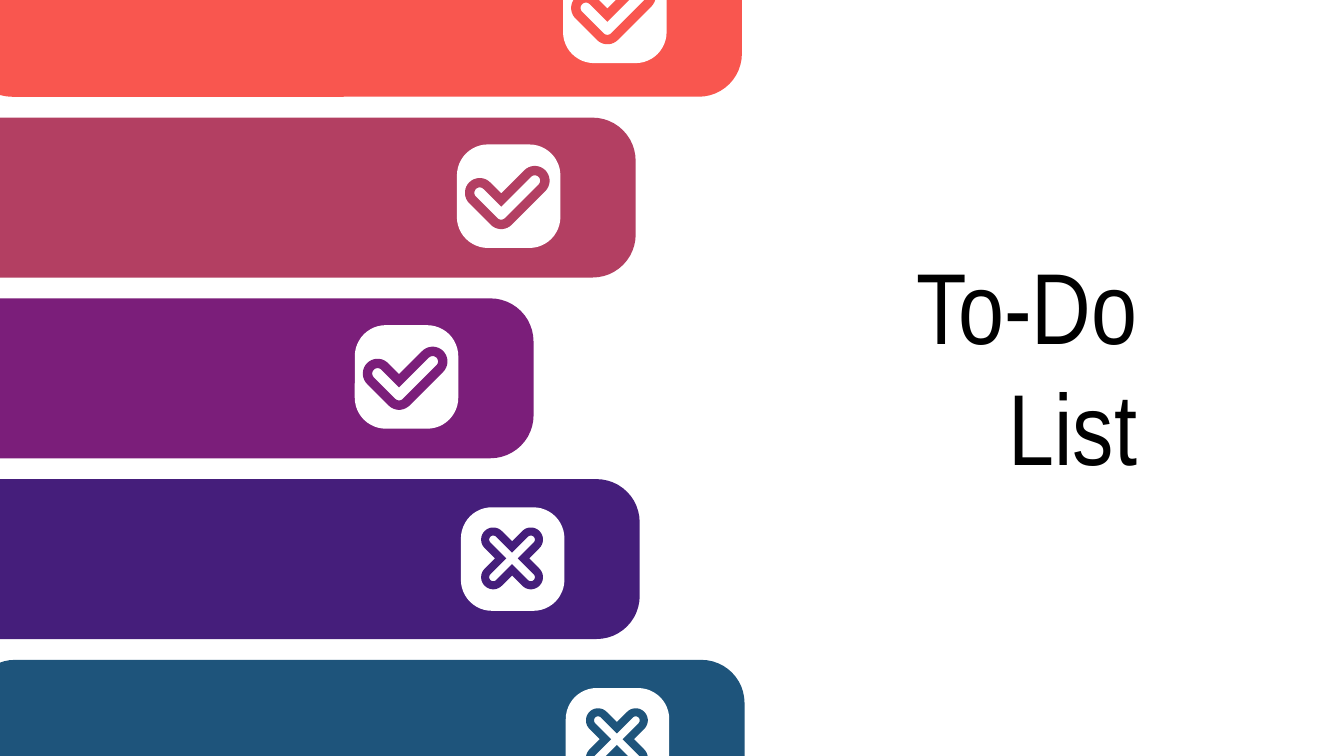
from math import cos, radians, sin, sqrt

from pptx import Presentation
from pptx.dml.color import RGBColor
from pptx.enum.shapes import MSO_SHAPE
from pptx.enum.text import MSO_ANCHOR, PP_ALIGN
from pptx.util import Inches, Pt


def paint(shape, color):
    shape.shadow.inherit = False
    shape.fill.solid()
    shape.fill.fore_color.rgb = RGBColor.from_string(color)
    shape.line.fill.background()


def contour(x, y, arms, radius):
    """Outline round-ended arms (angle, length) that meet at x, y."""
    points = []

    def add_point(center_x, center_y, angle, distance):
        turn = radians(angle)
        points.append((Inches(center_x + distance * cos(turn)),
                       Inches(center_y + distance * sin(turn))))

    following = arms[1:] + arms[:1]
    for (angle, length), (next_angle, _) in zip(arms, following):
        tip_x = x + length * cos(radians(angle))
        tip_y = y + length * sin(radians(angle))
        for step in range(-90, 91, 10):
            add_point(tip_x, tip_y, angle + step, radius)
        if (next_angle - angle) % 360 == 90:
            add_point(x, y, angle + 45, radius * sqrt(2))
        else:
            for step in range(90, 181, 10):
                add_point(x, y, angle + step, radius)
    return points


BAR_WIDTH, BAR_HEIGHT, ROW_STEP, FIRST_TOP = 5.75, 1.19, 1.345, -0.47
BADGE, BADGE_INSET = 0.77, 1.33

# arms, outer and inner radius, joint position within the badge
CHECK = ([(-135, 0.16 * sqrt(2)), (-45, 0.25 * sqrt(2))], (0.11, 0.04), (0.33, 0.52))
CROSS = ([(angle, 0.14 * sqrt(2)) for angle in (-135, -45, 45, 135)],
         (0.09, 0.03), (0.38, 0.38))

# colour, right edge, drop of the badge below the bar's top, mark
rows = [
    ("F9564F", 5.52, 0.17, CHECK),
    ("B33F62", 4.73, 0.2, CHECK),
    ("7B1E7A", 3.97, 0.2, CHECK),
    ("451E7B", 4.76, 0.21, CROSS),
    ("1E547B", 5.54, 0.21, CROSS),
]

deck = Presentation()
deck.slide_width = Inches(10)
deck.slide_height = deck.slide_width * 9 // 16
page = deck.slides.add_slide(deck.slide_layouts[6])

# Title
title = page.shapes.add_textbox(Inches(6.18), Inches(1.53), Inches(2.38), Inches(2.37))
frame = title.text_frame
frame.word_wrap = True
frame.vertical_anchor = MSO_ANCHOR.MIDDLE
frame.margin_left = frame.margin_right = Inches(0.1)
frame.margin_top = frame.margin_bottom = Inches(0.1)
frame.text = "To-Do List"
para = frame.paragraphs[0]
para.alignment = PP_ALIGN.RIGHT
span = para.runs[0]
span.font.name = "Arial Narrow"
span.font.size = Pt(54)
span.font.color.rgb = RGBColor.from_string("000000")

# Bars, each with a badge and its mark
checklist = page.shapes.add_group_shape()
for index, (color, right, drop, mark) in enumerate(rows):
    top = FIRST_TOP + index * ROW_STEP
    bar = checklist.shapes.add_shape(
        MSO_SHAPE.ROUNDED_RECTANGLE, Inches(right - BAR_WIDTH), Inches(top),
        Inches(BAR_WIDTH), Inches(BAR_HEIGHT))
    bar.adjustments[0] = 0.27
    paint(bar, color)

    badge_left, badge_top = right - BADGE_INSET, top + drop
    badge = checklist.shapes.add_shape(
        MSO_SHAPE.ROUNDED_RECTANGLE, Inches(badge_left), Inches(badge_top),
        Inches(BADGE), Inches(BADGE))
    badge.adjustments[0] = 0.3
    paint(badge, "FFFFFF")

    arms, radii, (joint_x, joint_y) = mark
    outer, inner = [contour(badge_left + joint_x, badge_top + joint_y, arms, radius)
                    for radius in radii]
    builder = checklist.shapes.build_freeform(*outer[0])
    builder.add_line_segments(outer[1:], close=True)
    builder.move_to(*inner[0])
    builder.add_line_segments(inner[1:], close=True)
    paint(builder.convert_to_shape(), color)

deck.save("out.pptx")
